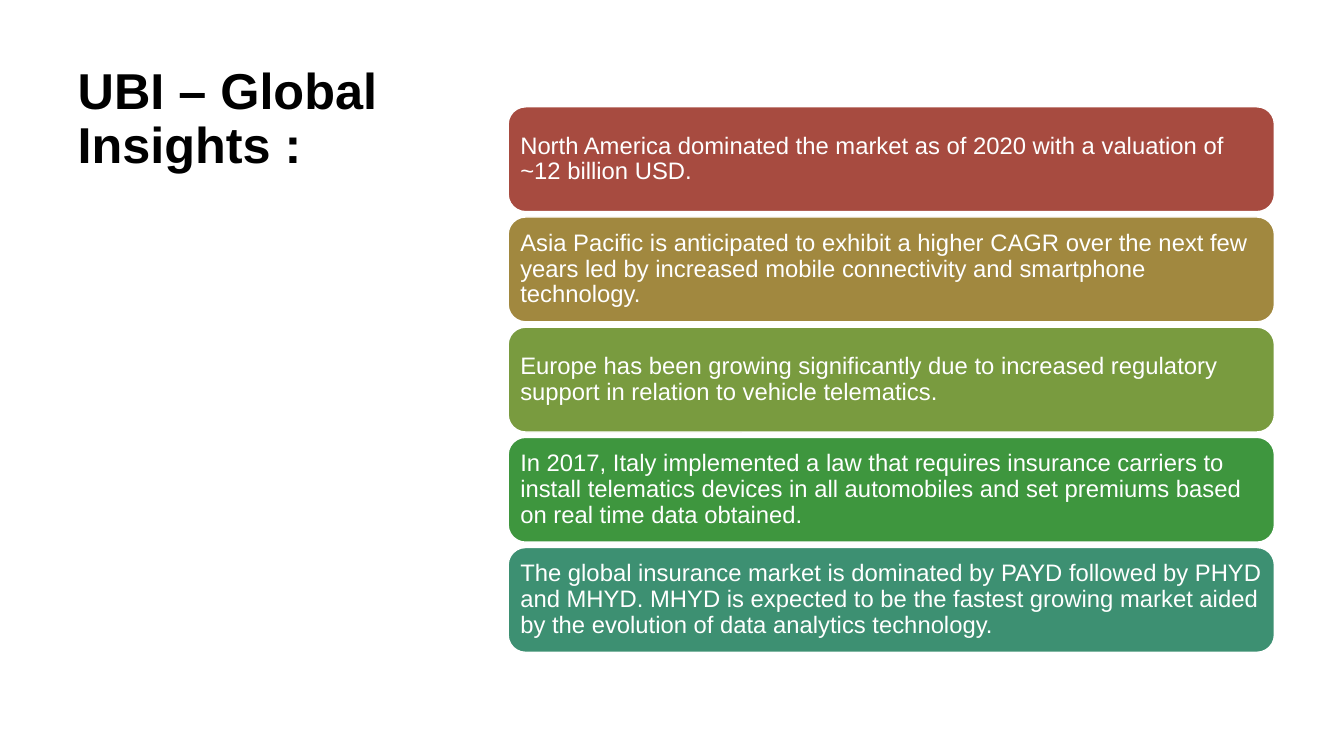
from dataclasses import dataclass

from pptx import Presentation
from pptx.dml.color import RGBColor
from pptx.enum.shapes import MSO_SHAPE
from pptx.enum.text import MSO_ANCHOR, MSO_AUTO_SIZE, PP_ALIGN
from pptx.shapes.group import GroupShape
from pptx.text.text import TextFrame
from pptx.util import Inches, Pt

BLACK = RGBColor(0x00, 0x00, 0x00)
WHITE = RGBColor(0xFF, 0xFF, 0xFF)
RED = RGBColor(0xA7, 0x4B, 0x40)
OCHRE = RGBColor(0xA1, 0x88, 0x3F)
OLIVE = RGBColor(0x79, 0x9B, 0x3F)
GREEN = RGBColor(0x3E, 0x96, 0x3E)
TEAL = RGBColor(0x3D, 0x90, 0x72)

CARD_LEFT, CARD_TOP = 5.04, 1.06
CARD_WIDTH, CARD_HEIGHT = 7.6, 1.04
CARD_PITCH = 1.093
CARD_INSET = Inches(0.07)


@dataclass(frozen=True)
class Insight:
    text: str
    color: RGBColor


INSIGHTS = [
    Insight("North America dominated the market as of 2020 with a valuation of "
            "~12 billion USD.", RED),
    Insight("Asia Pacific is anticipated to exhibit a higher CAGR over the next few "
            "years led by increased mobile connectivity and smartphone technology.", OCHRE),
    Insight("Europe has been growing significantly due to increased regulatory "
            "support in relation to vehicle telematics.", OLIVE),
    Insight("In 2017, Italy implemented a law that requires insurance carriers to "
            "install telematics devices in all automobiles and set premiums based "
            "on real time data obtained.", GREEN),
    Insight("The global insurance market is dominated by PAYD followed by PHYD and "
            "MHYD. MHYD is expected to be the fastest growing market aided by the "
            "evolution of data analytics technology.", TEAL),
]


def write_text(frame: TextFrame, text: str, *, size: float, color: RGBColor,
               bold: bool = False, anchor: MSO_ANCHOR = MSO_ANCHOR.TOP) -> None:
    frame.word_wrap = True
    frame.auto_size = MSO_AUTO_SIZE.NONE
    frame.vertical_anchor = anchor
    paragraph = frame.paragraphs[0]
    paragraph.alignment = PP_ALIGN.LEFT
    paragraph.line_spacing = 0.9
    run = paragraph.add_run()
    run.text = text
    run.font.name = "Arial"
    run.font.size = Pt(size)
    run.font.bold = bold
    run.font.color.rgb = color


def add_card(group: GroupShape, insight: Insight, top: float) -> None:
    card = group.shapes.add_shape(
        MSO_SHAPE.ROUNDED_RECTANGLE, Inches(CARD_LEFT), Inches(top),
        Inches(CARD_WIDTH), Inches(CARD_HEIGHT))
    card.shadow.inherit = False
    card.fill.solid()
    card.fill.fore_color.rgb = insight.color
    card.line.color.rgb = WHITE
    card.line.width = Pt(1)
    frame = card.text_frame
    frame.margin_left = frame.margin_right = CARD_INSET
    frame.margin_top = frame.margin_bottom = CARD_INSET
    write_text(frame, insight.text, size=17, color=WHITE, anchor=MSO_ANCHOR.MIDDLE)


def main() -> None:
    presentation = Presentation()
    presentation.slide_width = Inches(13.33)
    presentation.slide_height = Inches(7.5)
    slide = presentation.slides.add_slide(presentation.slide_layouts[5])

    title = slide.shapes.title
    title.left, title.top = Inches(0.67), Inches(0.6)
    title.width, title.height = Inches(3.82), Inches(6.33)
    write_text(title.text_frame, "UBI – Global Insights :", size=36, color=BLACK, bold=True)

    cards = slide.shapes.add_group_shape()
    for index, insight in enumerate(INSIGHTS):
        add_card(cards, insight, CARD_TOP + index * CARD_PITCH)

    presentation.save("out.pptx")


if __name__ == "__main__":
    main()
